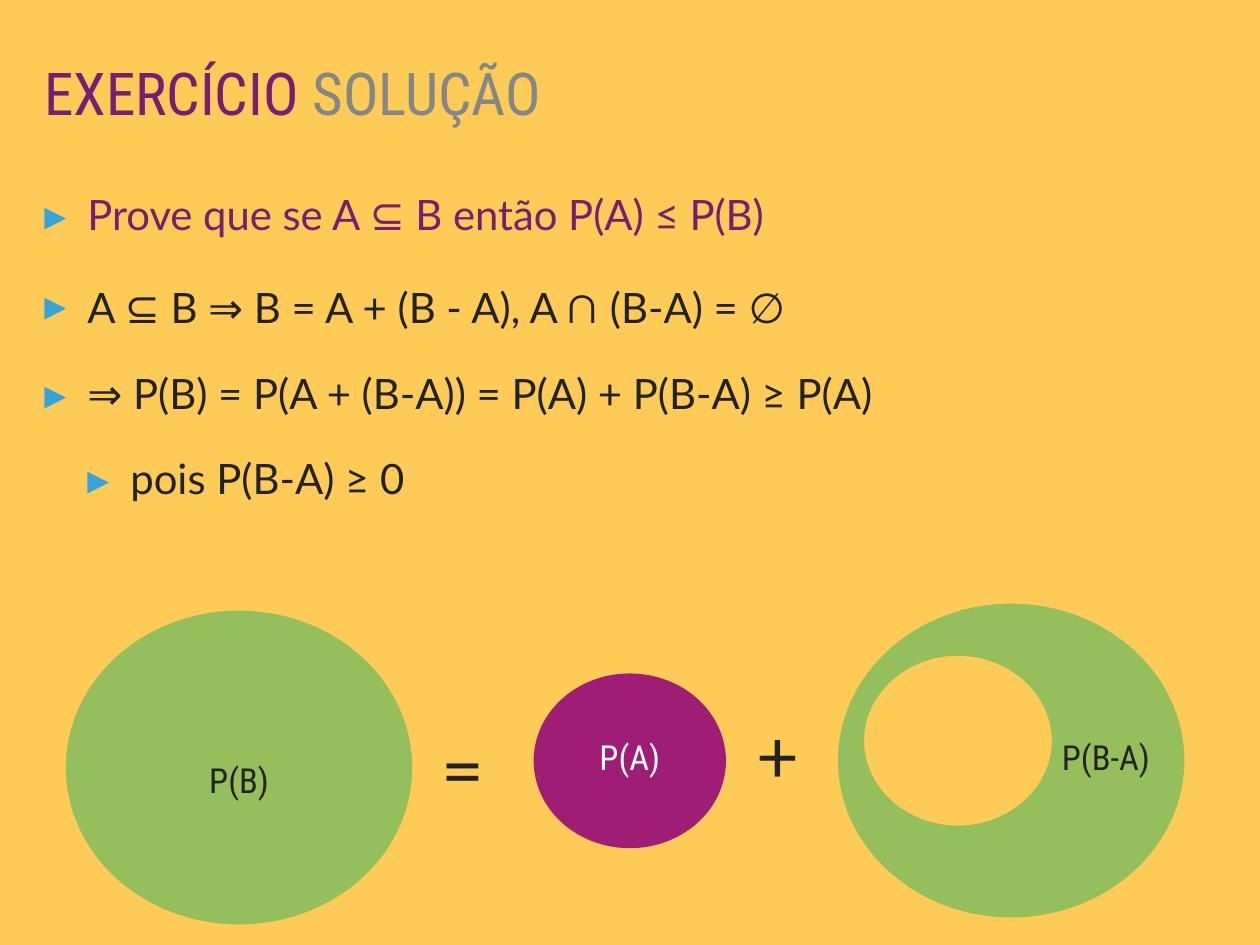
import pptx
import pptx.util
import pptx.dml.color
import pptx.enum.shapes
import pptx.enum.text
import pptx.oxml
import pptx.oxml.ns
import lxml.etree

Pt = pptx.util.Pt
LATO, ROBO = "Lato", "Roboto Condensed"
BACK, PLUM, GREY, INK, DARK = "FDCB56", "771D76", "838787", "222222", "232323"
GREEN, WINE, WHITE, BLUE = "8ABE5E", "A01D76", "FFFFFF", "34A5DA"

TITLE = [("EXERCÍCIO ", PLUM), ("SOLUÇÃO", GREY)]
LINES = [
    (0, PLUM, [("Prove que se A ⊆ B então P(A) ≤ P(B)", 34)]),
    (0, INK, [("A ⊆ B ⇒ B = A + (B - A), A ", 34), ("∩ ", 41), ("(B-A) = ∅", 34)]),
    (0, INK, [("⇒ P(B) = P(A + (B-A)) = P(A) + P(B-A) ≥ P(A)", 34)]),
    (1, INK, [("pois P(B-A) ≥ 0", 34)]),
]
SIGNS = [("=", 355, 584), ("+", 610.5, 573)]
WHOLE = (53.5, 496.3, 281.5, 255)
PART = (433.7, 547.3, 156.3, 142)
RING = (681, 490.6, 281.5, 255)
HOLE = (702.2, 533, 152.6, 138)
INSET, STEP, UNITS, BEND = 4, 35, 100, 0.55

deck = pptx.Presentation()
deck.slide_width, deck.slide_height = Pt(1024), Pt(768)
slide = deck.slides.add_slide(deck.slide_layouts[6])
shapes = slide.shapes


def paint(fill, code, alpha=None):
    fill.solid()
    fill.fore_color.rgb = pptx.dml.color.RGBColor.from_string(code)
    if alpha:
        color = fill._xPr.find(".//" + pptx.oxml.ns.qn("a:srgbClr"))
        node = lxml.etree.SubElement(color, pptx.oxml.ns.qn("a:alpha"))
        node.set("val", str(alpha * 1000))


def write(para, text, size, face, code):
    run = para.add_run()
    run.text = text
    run.font.size, run.font.name = Pt(size), face
    paint(run.font.fill, code)
    return run


def setup(shape, left=INSET, top=INSET):
    frame = shape.text_frame
    frame.word_wrap = True
    frame.margin_left, frame.margin_top = Pt(left), Pt(top)
    frame.margin_right = frame.margin_bottom = Pt(INSET)
    return frame


def textbox(left, top, width, height):
    return setup(shapes.add_textbox(Pt(left), Pt(top), Pt(width), Pt(height)))


def bullet(para, level):
    props = para._p.get_or_add_pPr()
    props.set("marL", str(Pt(STEP * (level + 1))))
    props.set("indent", str(Pt(-STEP)))
    space = pptx.oxml.ns.nsdecls("a")
    for part in (
        f'<a:buClr {space}><a:srgbClr val="{BLUE}"/></a:buClr>',
        f'<a:buSzPct {space} val="105000"/>',
        f'<a:buFont {space} typeface="{LATO}"/>',
        f'<a:buChar {space} char="▸"/>',
    ):
        props.append(pptx.oxml.parse_xml(part))


def label(shape, text, fill, alpha, ink, left=INSET, top=INSET):
    shape.shadow.inherit = False
    paint(shape.fill, fill, alpha)
    shape.line.fill.background()
    frame = setup(shape, left, top)
    frame.vertical_anchor = pptx.enum.text.MSO_ANCHOR.MIDDLE
    para = frame.paragraphs[0]
    para.alignment = pptx.enum.text.PP_ALIGN.CENTER
    para.line_spacing = 0.8
    write(para, text, 28, ROBO, ink)


def oval(box):
    kind = pptx.enum.shapes.MSO_SHAPE.OVAL
    return shapes.add_shape(kind, *[Pt(n) for n in box])


def curve(box):
    left, top, width, height = box
    dots = [(1, 0)]
    for x, y in ((1, 0), (0, 1), (-1, 0), (0, -1)):
        dots += [(x - BEND * y, y + BEND * x), (BEND * x - y, BEND * y + x), (-y, x)]
    return [(UNITS * (left + width / 2 * (1 + x)),
             UNITS * (top + height / 2 * (1 + y))) for x, y in dots]


def bend(shape):
    lines = list(shape._element.iter(pptx.oxml.ns.qn("a:lnTo")))
    for i in range(0, len(lines), 3):
        arc = lxml.etree.Element(pptx.oxml.ns.qn("a:cubicBezTo"))
        lines[i].addprevious(arc)
        for line in lines[i:i + 3]:
            arc.append(line[0])
            line.getparent().remove(line)


paint(slide.background.fill, BACK)

para = textbox(32, 53, 496, 57).paragraphs[0]
para.line_spacing = 0.8
for text, ink in TITLE:
    write(para, text, 48, ROBO, ink)

body = textbox(32, 149, 960, 548)
for row, (level, ink, runs) in enumerate(LINES):
    para = body.add_paragraph() if row else body.paragraphs[0]
    para.level = level
    bullet(para, level)
    if row:
        para.space_before = Pt(28)
    for text, size in runs:
        run = write(para, text, size, LATO, ink)
        if size == 41:
            run.font.italic = True

label(oval(WHOLE), "P(B)", GREEN, 90, DARK, top=INSET + 26)

outer, inner = curve(RING), curve(HOLE)
path = shapes.build_freeform(*outer[0], scale=Pt(1) / UNITS)
path.add_line_segments(outer[1:], close=True)
path.move_to(*inner[0])
path.add_line_segments(inner[1:], close=True)
ring = path.convert_to_shape()
bend(ring)
label(ring, "P(B-A)", GREEN, 90, DARK, left=INSET + 154)

label(oval(PART), "P(A)", WINE, None, WHITE)

for sign, left, top in SIGNS:
    frame = textbox(left, top, 58, 80)
    frame.word_wrap = False
    frame.auto_size = pptx.enum.text.MSO_AUTO_SIZE.SHAPE_TO_FIT_TEXT
    frame.vertical_anchor = pptx.enum.text.MSO_ANCHOR.MIDDLE
    write(frame.paragraphs[0], sign, 60, LATO, INK)

deck.save("out.pptx")
